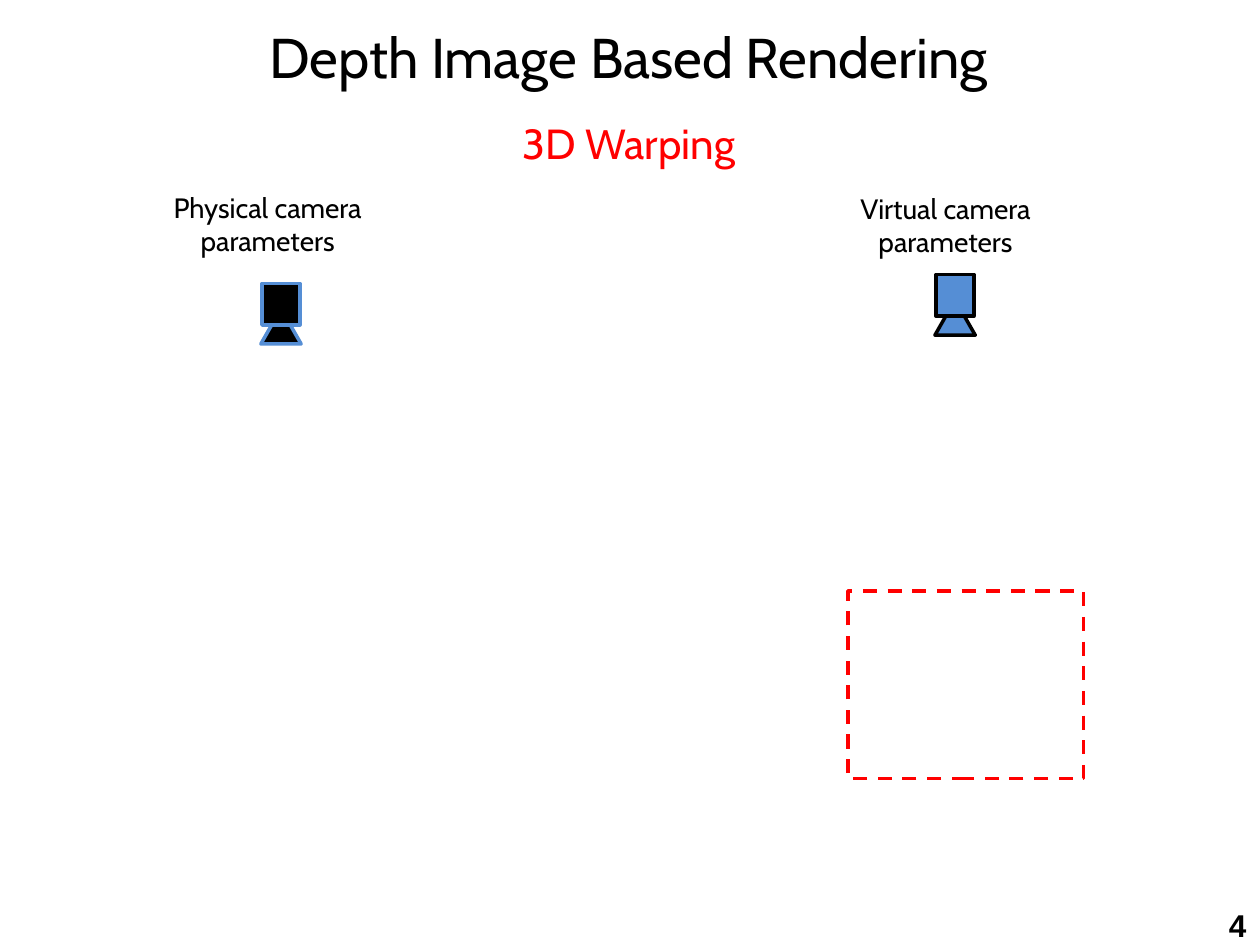
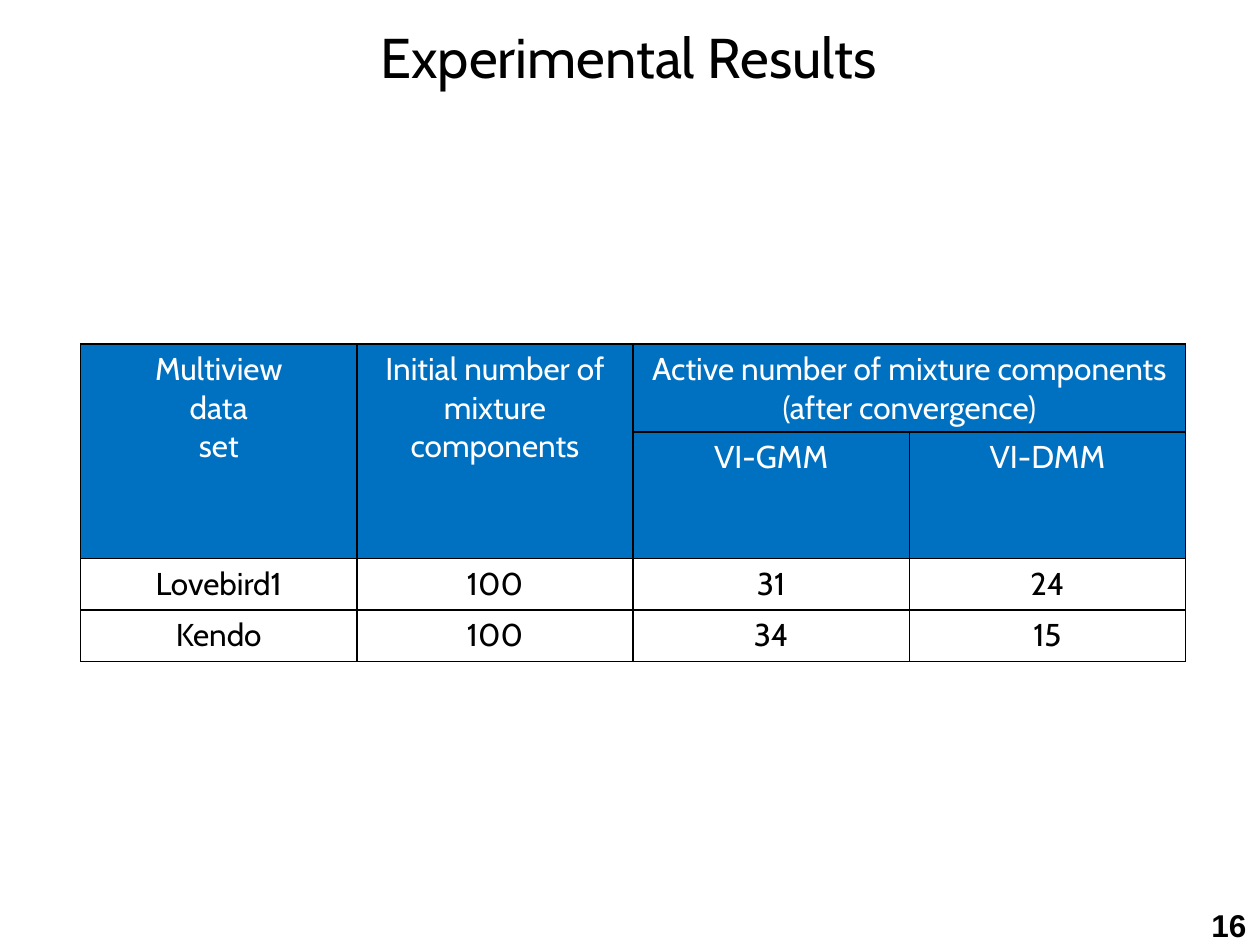
from dataclasses import dataclass

import lxml.etree
import pptx
import pptx.dml.color
import pptx.enum.dml
import pptx.enum.shapes
import pptx.enum.text
import pptx.oxml.ns
import pptx.util
from pptx.util import Inches

RGBColor = pptx.dml.color.RGBColor
Align = pptx.enum.text.PP_ALIGN
Shape = pptx.enum.shapes.MSO_SHAPE

BLACK = RGBColor(0x00, 0x00, 0x00)
WHITE = RGBColor(0xFF, 0xFF, 0xFF)
RED = RGBColor(0xFF, 0x00, 0x00)
CAMERA_BLUE = RGBColor(0x55, 0x8E, 0xD5)
HEADER_BLUE = RGBColor(0x00, 0x70, 0xC0)

BODY_FONT = "Cabin"
NUMBER_FONT = "Arial"


@dataclass(frozen=True)
class TextStyle:
    size: int
    color: RGBColor = BLACK
    font: str = BODY_FONT
    bold: bool = False


@dataclass(frozen=True)
class Area:
    left: float
    top: float
    width: float
    height: float

    def lengths(self) -> list[pptx.util.Length]:
        return [Inches(n) for n in (self.left, self.top, self.width, self.height)]


@dataclass(frozen=True)
class Camera:
    """A camera seen from above, with the label that stands over it."""
    left: float
    top: float
    fill: RGBColor
    line: RGBColor
    caption: str
    caption_area: Area


TITLE_STYLE = TextStyle(32)
SUBTITLE_STYLE = TextStyle(24, RED)
CAPTION_STYLE = TextStyle(16)
HEADER_STYLE = TextStyle(18, WHITE)
VALUE_STYLE = TextStyle(18)
NUMBER_STYLE = TextStyle(18, font=NUMBER_FONT, bold=True)

TITLE_AREA = Area(0, 0.13, 9.98, 0.63)
SUBTITLE_AREA = Area(0, 0.88, 9.98, 0.5)
NUMBER_AREA = Area(9.28, 7.14, 0.71, 0.4)
VIRTUAL_VIEW_AREA = Area(6.73, 4.69, 1.87, 1.49)
TABLE_AREA = Area(0.64, 2.73, 8.77, 1.68)

CAMERAS = [
    Camera(2.07, 2.25, BLACK, CAMERA_BLUE, "Physical camera", Area(1.28, 1.46, 1.91, 0.64)),
    Camera(7.42, 2.18, CAMERA_BLUE, BLACK, "Virtual camera", Area(6.73, 1.47, 1.71, 0.64)),
]

HEADER_ROWS = 2
ROW_HEIGHTS = [0.45, 0.41, 0.41, 0.41]
RESULTS = [
    ["Multiview\ndata\nset", "Initial number of mixture components",
     "Active number of mixture components (after convergence)", ""],
    ["", "", "VI-GMM", "VI-DMM"],
    ["Lovebird1", "100", "31", "24"],
    ["Kendo", "100", "34", "15"],
]
MERGES = [((0, 0), (1, 0)), ((0, 1), (1, 1)), ((0, 2), (0, 3))]


def write(frame, lines: list[str], style: TextStyle, alignments: list) -> None:
    for index, (line, alignment) in enumerate(zip(lines, alignments)):
        para = frame.add_paragraph() if index else frame.paragraphs[0]
        para.alignment = alignment
        span = para.add_run()
        span.text = line
        span.font.name = style.font
        span.font.size = pptx.util.Pt(style.size)
        span.font.bold = style.bold
        span.font.color.rgb = style.color


def add_text(page, area: Area, lines: list[str], style: TextStyle,
             alignments: list, wrap: bool = True) -> None:
    box = page.shapes.add_textbox(*area.lengths())
    box.text_frame.word_wrap = wrap
    box.text_frame.auto_size = pptx.enum.text.MSO_AUTO_SIZE.SHAPE_TO_FIT_TEXT
    write(box.text_frame, lines, style, alignments)


def add_outlined(shapes, kind: Shape, area: Area, fill: RGBColor, line: RGBColor):
    shape = shapes.add_shape(kind, *area.lengths())
    shape.shadow.inherit = False
    shape.fill.solid()
    shape.fill.fore_color.rgb = fill
    shape.line.color.rgb = line
    shape.line.width = pptx.util.Pt(2)
    return shape


def add_page(deck, title: str, number: int):
    """Add a blank page with the shared title band and page number."""
    page = deck.slides.add_slide(deck.slide_layouts[6])
    add_text(page, NUMBER_AREA, [str(number)], NUMBER_STYLE, [Align.RIGHT])
    band = add_outlined(page.shapes, Shape.RECTANGLE, TITLE_AREA, WHITE, WHITE)
    band.text_frame.word_wrap = True
    band.text_frame.vertical_anchor = pptx.enum.text.MSO_ANCHOR.MIDDLE
    write(band.text_frame, [title], TITLE_STYLE, [Align.CENTER])
    return page


def add_camera(page, camera: Camera) -> None:
    group = page.shapes.add_group_shape()
    lens = Area(camera.left, camera.top + 0.2, 0.32, 0.28)
    body = Area(camera.left + 0.01, camera.top, 0.3, 0.33)
    add_outlined(group.shapes, Shape.ISOSCELES_TRIANGLE, lens, camera.fill, camera.line)
    add_outlined(group.shapes, Shape.RECTANGLE, body, camera.fill, camera.line)
    add_text(page, camera.caption_area, [camera.caption, "parameters"],
             CAPTION_STYLE, [Align.LEFT, Align.CENTER], wrap=False)


def set_borders(cell, color: RGBColor, points: float) -> None:
    properties = cell._tc.get_or_add_tcPr()
    name = pptx.oxml.ns.qn
    for index, side in enumerate(("a:lnL", "a:lnR", "a:lnT", "a:lnB")):
        border = lxml.etree.Element(name(side), w=str(pptx.util.Pt(points)))
        fill = lxml.etree.SubElement(border, name("a:solidFill"))
        lxml.etree.SubElement(fill, name("a:srgbClr"), val=str(color))
        properties.insert(index, border)


def add_results_table(page) -> None:
    columns = len(RESULTS[0])
    table = page.shapes.add_table(len(RESULTS), columns, *TABLE_AREA.lengths()).table
    for column in table.columns:
        column.width = Inches(TABLE_AREA.width / columns)
    for row, height in zip(table.rows, ROW_HEIGHTS):
        row.height = Inches(height)
    for first, last in MERGES:
        table.cell(*first).merge(table.cell(*last))

    for row_index, texts in enumerate(RESULTS):
        is_header = row_index < HEADER_ROWS
        for column_index, text in enumerate(texts):
            cell = table.cell(row_index, column_index)
            cell.fill.solid()
            cell.fill.fore_color.rgb = HEADER_BLUE if is_header else WHITE
            set_borders(cell, BLACK, 1)
            if text:
                lines = text.split("\n")
                style = HEADER_STYLE if is_header else VALUE_STYLE
                write(cell.text_frame, lines, style, [Align.CENTER] * len(lines))


def build_warping_page(deck) -> None:
    page = add_page(deck, "Depth Image Based Rendering", 4)
    for camera in CAMERAS:
        add_camera(page, camera)
    view = add_outlined(page.shapes, Shape.RECTANGLE, VIRTUAL_VIEW_AREA, WHITE, RED)
    view.line.dash_style = pptx.enum.dml.MSO_LINE.DASH
    add_text(page, SUBTITLE_AREA, ["3D Warping"], SUBTITLE_STYLE, [Align.CENTER])


def build_results_page(deck) -> None:
    page = add_page(deck, "Experimental Results", 16)
    add_results_table(page)


def main() -> None:
    deck = pptx.Presentation()
    deck.slide_width = Inches(10)
    deck.slide_height = Inches(7.5)
    build_warping_page(deck)
    build_results_page(deck)
    deck.save("out.pptx")


if __name__ == "__main__":
    main()
